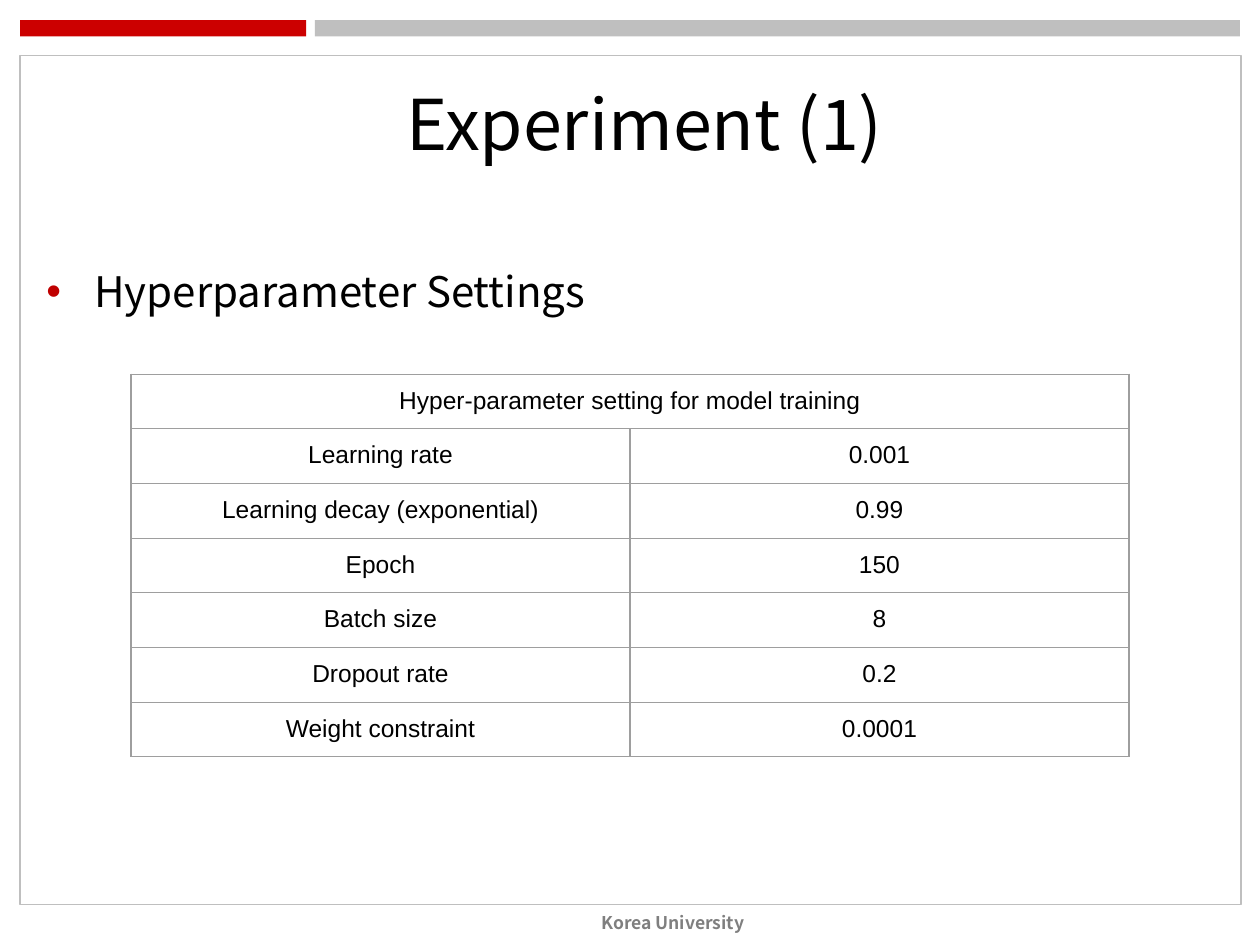
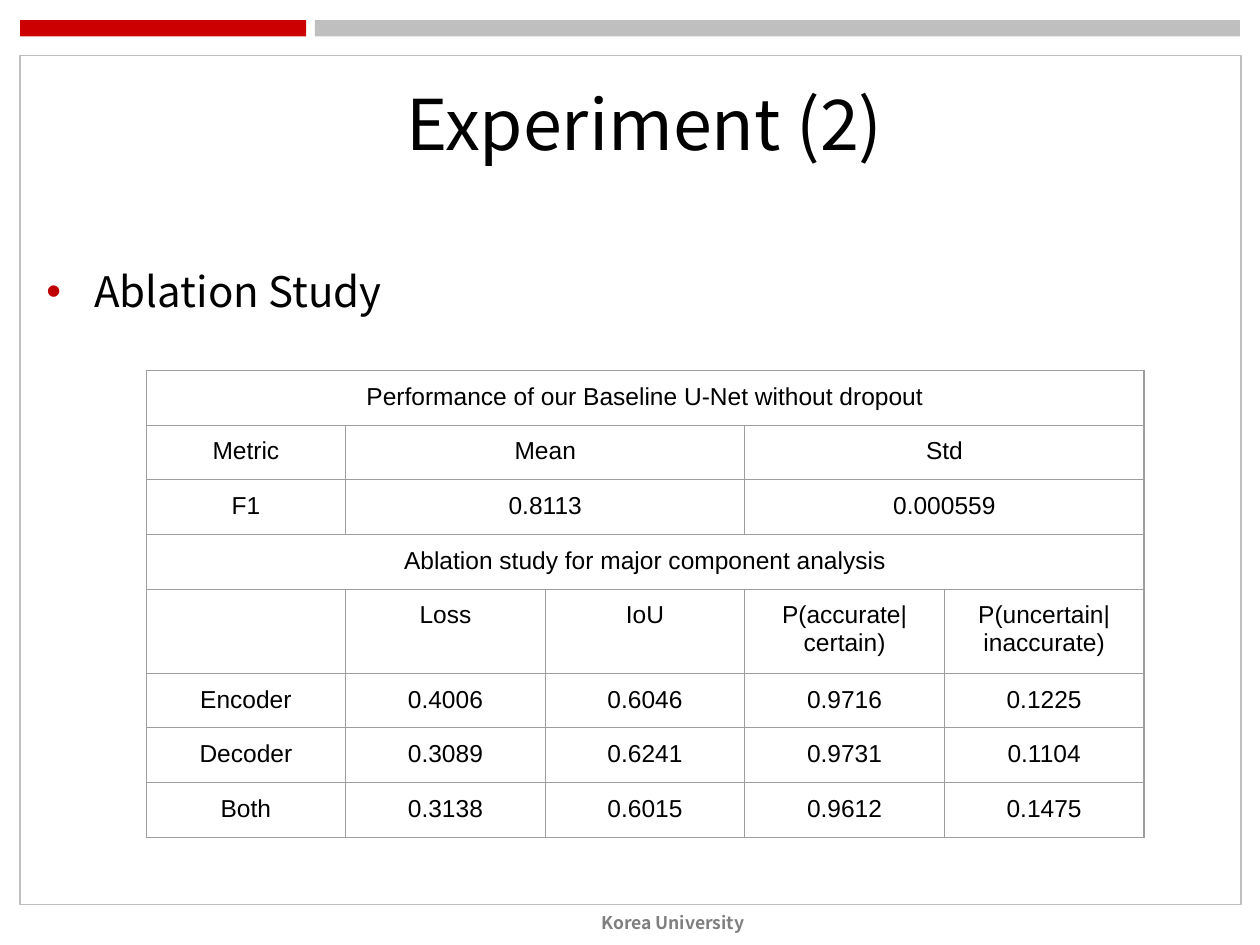
from lxml import etree
from pptx import Presentation
from pptx.dml.color import RGBColor
from pptx.enum.shapes import MSO_SHAPE
from pptx.enum.text import MSO_ANCHOR, PP_ALIGN
from pptx.oxml import parse_xml
from pptx.oxml.ns import nsdecls, qn
from pptx.util import Inches, Pt

RED = RGBColor(0xCC, 0x00, 0x00)
BULLET_RED = RGBColor(0xC0, 0x00, 0x00)
SILVER = RGBColor(0xBF, 0xBF, 0xBF)
GRID = RGBColor(0x9E, 0x9E, 0x9E)
GRAY = RGBColor(0x7F, 0x7F, 0x7F)
BLACK = RGBColor(0x00, 0x00, 0x00)
WHITE = RGBColor(0xFF, 0xFF, 0xFF)
SANS = "Noto Sans CJK KR"
TABLE_FONT = "Arial"

# Left, top, width, height, fill, line
FRAME = [
    (2.5, 0.16, 7.34, 0.13, SILVER, None),
    (0.16, 0.16, 2.27, 0.13, RED, None),
    (0.16, 0.44, 9.69, 6.74, WHITE, SILVER),
]

# In table rows, None continues the cell to its left
SLIDES = [
    {
        "title": "Experiment (1)",
        "topic": "Hyperparameter Settings",
        "at": (1.04, 2.97),
        "heights": [0.42] * 7,
        "rows": [
            ["Hyper-parameter setting for model training", None],
            ["Learning rate", "0.001"],
            ["Learning decay (exponential)", "0.99"],
            ["Epoch", "150"],
            ["Batch size", "8"],
            ["Dropout rate", "0.2"],
            ["Weight constraint", "0.0001"],
        ],
    },
    {
        "title": "Experiment (2)",
        "topic": "Ablation Study",
        "at": (1.16, 2.94),
        "heights": [0.42] * 4 + [0.64] + [0.42] * 3,
        "rows": [
            ["Performance of our Baseline U-Net without dropout", None, None, None, None],
            ["Metric", "Mean", None, "Std", None],
            ["F1", "0.8113", None, "0.000559", None],
            ["Ablation study for major component analysis", None, None, None, None],
            ["", "Loss", "IoU", "P(accurate|certain)", "P(uncertain|inaccurate)"],
            ["Encoder", "0.4006", "0.6046", "0.9716", "0.1225"],
            ["Decoder", "0.3089", "0.6241", "0.9731", "0.1104"],
            ["Both", "0.3138", "0.6015", "0.9612", "0.1475"],
        ],
    },
]
TABLE_WIDTH = 7.92


def write(tf, text, size, font=SANS, color=BLACK, bold=False, align=PP_ALIGN.CENTER):
    tf.word_wrap = True
    p = tf.paragraphs[0]
    p.alignment = align
    p.font.size = Pt(size)
    if text:
        r = p.add_run()
        r.text = text
        r.font.size, r.font.name, r.font.bold = Pt(size), font, bold
        r.font.color.rgb = color
        ea = etree.SubElement(r.font._element, qn("a:ea"))
        ea.set("typeface", font)
    return p


def set_borders(cell):
    tcPr = cell._tc.get_or_add_tcPr()
    for i, side in enumerate(("lnL", "lnR", "lnT", "lnB")):
        tcPr.insert(i, parse_xml(
            f'<a:{side} {nsdecls("a")} w="{Pt(0.75)}"><a:solidFill>'
            f'<a:srgbClr val="{GRID}"/></a:solidFill></a:{side}>'))


prs = Presentation()
prs.slide_width, prs.slide_height = Inches(10), Inches(7.5)

for content in SLIDES:
    s = prs.slides.add_slide(prs.slide_layouts[6])

    # Top bands and content frame
    for x, y, w, h, fill, line in FRAME:
        sp = s.shapes.add_shape(MSO_SHAPE.RECTANGLE, Inches(x), Inches(y), Inches(w), Inches(h))
        sp.shadow.inherit = False
        sp.fill.solid()
        sp.fill.fore_color.rgb = fill
        if line is None:
            sp.line.fill.background()
        else:
            sp.line.color.rgb = line
            sp.line.width = Pt(0.75)

    # Footer
    tf = s.shapes.add_textbox(Inches(3.66), Inches(7.19), Inches(3.36), Inches(0.27)).text_frame
    tf.vertical_anchor = MSO_ANCHOR.MIDDLE
    write(tf, "Korea University", 10, color=GRAY, bold=True)

    # Title
    tf = s.shapes.add_textbox(Inches(0.43), Inches(0.56), Inches(9.37), Inches(0.82)).text_frame
    tf.vertical_anchor = MSO_ANCHOR.MIDDLE
    write(tf, content["title"], 40)

    # Bulleted topic
    tf = s.shapes.add_textbox(Inches(0.27), Inches(2.06), Inches(9.37), Inches(5.28)).text_frame
    p = write(tf, content["topic"], 24, align=PP_ALIGN.LEFT)
    pPr = p._p.get_or_add_pPr()
    pPr.set("marL", str(Inches(0.38)))
    pPr.set("indent", str(-Inches(0.38)))
    bullet_color = parse_xml(
        f'<a:buClr {nsdecls("a")}><a:srgbClr val="{BULLET_RED}"/></a:buClr>')
    bullet_font = parse_xml(f'<a:buFont {nsdecls("a")} typeface="Arial"/>')
    bullet = parse_xml(f'<a:buChar {nsdecls("a")} char="•"/>')
    for i, node in enumerate((bullet_color, bullet_font, bullet)):
        pPr.insert(i, node)

    # Table
    rows, heights = content["rows"], content["heights"]
    n_cols = len(rows[0])
    x, y = content["at"]
    table = s.shapes.add_table(len(rows), n_cols, Inches(x), Inches(y),
                               Inches(TABLE_WIDTH), Inches(sum(heights))).table
    table.first_row = table.horz_banding = False
    for col in table.columns:
        col.width = Inches(TABLE_WIDTH / n_cols)
    for i, (row, height) in enumerate(zip(rows, heights)):
        table.rows[i].height = Inches(height)
        for j, value in enumerate(row):
            cell = table.cell(i, j)
            cell.fill.background()
            set_borders(cell)
            if value is None:
                continue
            cell.margin_left = cell.margin_right = Inches(0.1)
            cell.margin_top = cell.margin_bottom = Inches(0.1)
            write(cell.text_frame, value, 14, font=TABLE_FONT)
            last = j
            while last + 1 < n_cols and row[last + 1] is None:
                last += 1
            if last > j:
                cell.merge(table.cell(i, last))

prs.save("out.pptx")
